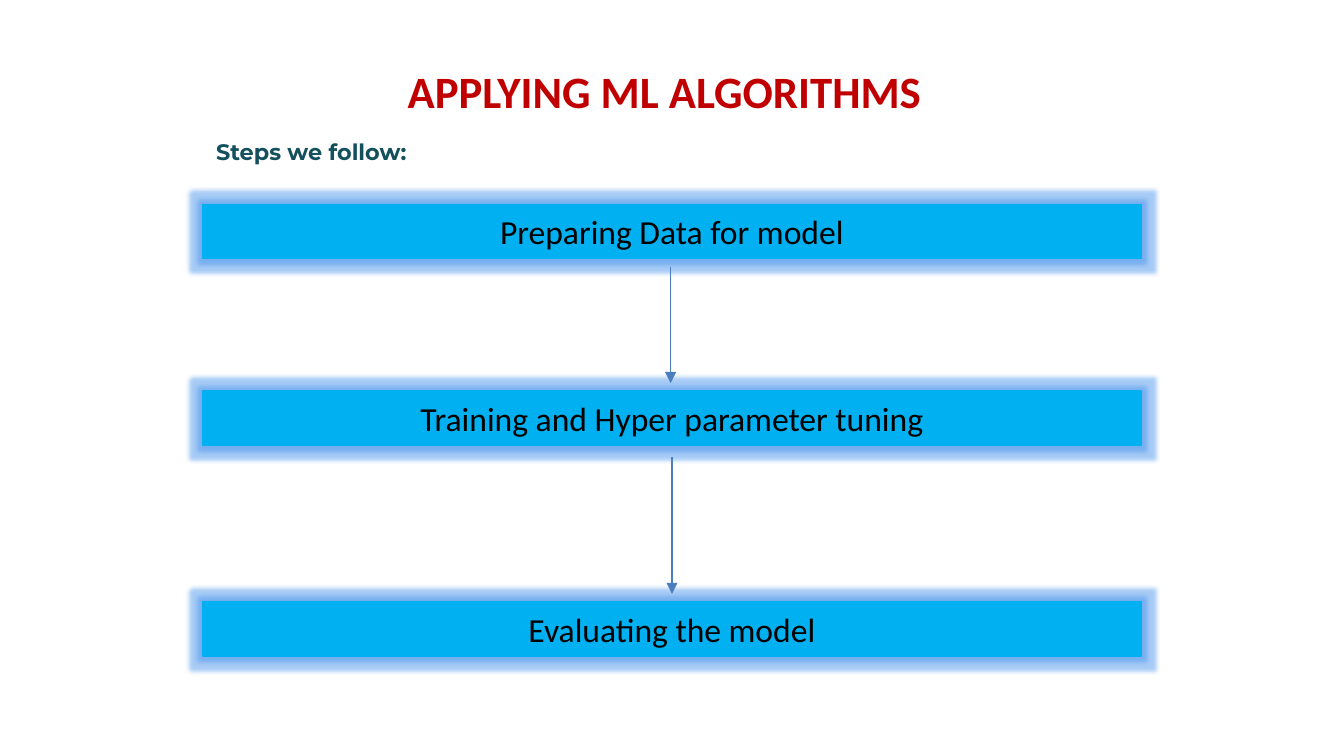
from dataclasses import dataclass

from lxml.etree import SubElement
from pptx import Presentation
from pptx.dml.color import RGBColor
from pptx.enum.shapes import MSO_CONNECTOR as Connector, MSO_SHAPE as Preset
from pptx.enum.text import MSO_ANCHOR as Anchor, MSO_AUTO_SIZE as AutoSize, PP_ALIGN as Align
from pptx.oxml.ns import qn
from pptx.util import Emu, Pt

EMU_PER_PX = 4572  # 200 px to the inch
COLORS = {
    "title": "C00000",
    "heading": "134F5C",
    "step": "00B0F0",
    "step_text": "000000",
    "glow": "3C8CEB",
    "arrow": "4B7EBC",
}


@dataclass(frozen=True)
class Label:
    text: str
    left: int
    top: int
    width: int
    height: int
    size: int
    color: str
    font: str = "Calibri"
    bold: bool = False
    align: Align = Align.LEFT


@dataclass(frozen=True)
class Arrow:
    x: int
    top: int
    bottom: int


STEP_TOPS = {
    "Preparing Data for model": 304,
    "Training and Hyper parameter tuning": 582,
    "Evaluating the model": 895,
}
STEPS = [
    Label(text, 302, top, 1396, 81, 18, "step_text", align=Align.CENTER)
    for text, top in STEP_TOPS.items()
]
ARROWS = [Arrow(998, 398, 570), Arrow(1000, 680, 884)]
HEADINGS = [
    Label("Steps we follow:", 302, 196, 614, 60, 12, "heading", "Montserrat", True),
    Label("APPLYING ML ALGORITHMS", 587, 85, 826, 101, 24, "title", bold=True),
]


def px(length: int) -> Emu:
    return Emu(length * EMU_PER_PX)


def rgb(name: str) -> RGBColor:
    return RGBColor.from_string(COLORS[name])


def bounds(label: Label) -> list[Emu]:
    return [px(side) for side in (label.left, label.top, label.width, label.height)]


def write_text(box, label: Label) -> None:
    frame = box.text_frame
    frame.word_wrap = True
    frame.auto_size = AutoSize.SHAPE_TO_FIT_TEXT
    para = frame.paragraphs[0]
    para.alignment = label.align
    span = para.add_run()
    span.text = label.text
    formats = {"name": label.font, "size": Pt(label.size), "bold": label.bold}
    for name, value in formats.items():
        setattr(span.font, name, value)
    span.font.color.rgb = rgb(label.color)


def add_glow(box, radius: Emu, opacity: int) -> None:
    """Put a soft halo round the box; opacity is a percentage."""
    box.shadow.inherit = False
    effects = box._element.spPr.find(qn("a:effectLst"))
    glow = SubElement(effects, qn("a:glow"), rad=str(radius))
    color = SubElement(glow, qn("a:srgbClr"), val=COLORS["glow"])
    SubElement(color, qn("a:alpha"), val=str(opacity * 1000))


def draw_step(page, step: Label) -> None:
    box = page.shapes.add_shape(Preset.RECTANGLE, *bounds(step))
    box.fill.solid()
    box.fill.fore_color.rgb = rgb("step")
    box.line.color.rgb = rgb("step")
    box.line.width = Pt(0.75)
    add_glow(box, Pt(5), 45)
    write_text(box, step)
    box.text_frame.vertical_anchor = Anchor.MIDDLE


def draw_arrow(page, arrow: Arrow) -> None:
    ends = [px(end) for end in (arrow.x, arrow.top, arrow.x, arrow.bottom)]
    connector = page.shapes.add_connector(Connector.STRAIGHT, *ends)
    connector.line.color.rgb = rgb("arrow")
    connector.line.width = Pt(0.75)
    SubElement(connector.line._get_or_add_ln(), qn("a:tailEnd"), type="triangle")
    SubElement(connector._element.spPr, qn("a:effectLst"))


def draw_heading(page, heading: Label) -> None:
    write_text(page.shapes.add_textbox(*bounds(heading)), heading)


def main() -> None:
    deck = Presentation()
    deck.slide_width, deck.slide_height = px(2000), px(1125)
    page = deck.slides.add_slide(deck.slide_layouts[6])
    for step in STEPS:
        draw_step(page, step)
    for arrow in ARROWS:
        draw_arrow(page, arrow)
    for heading in HEADINGS:
        draw_heading(page, heading)
    deck.save("out.pptx")


if __name__ == "__main__":
    main()
